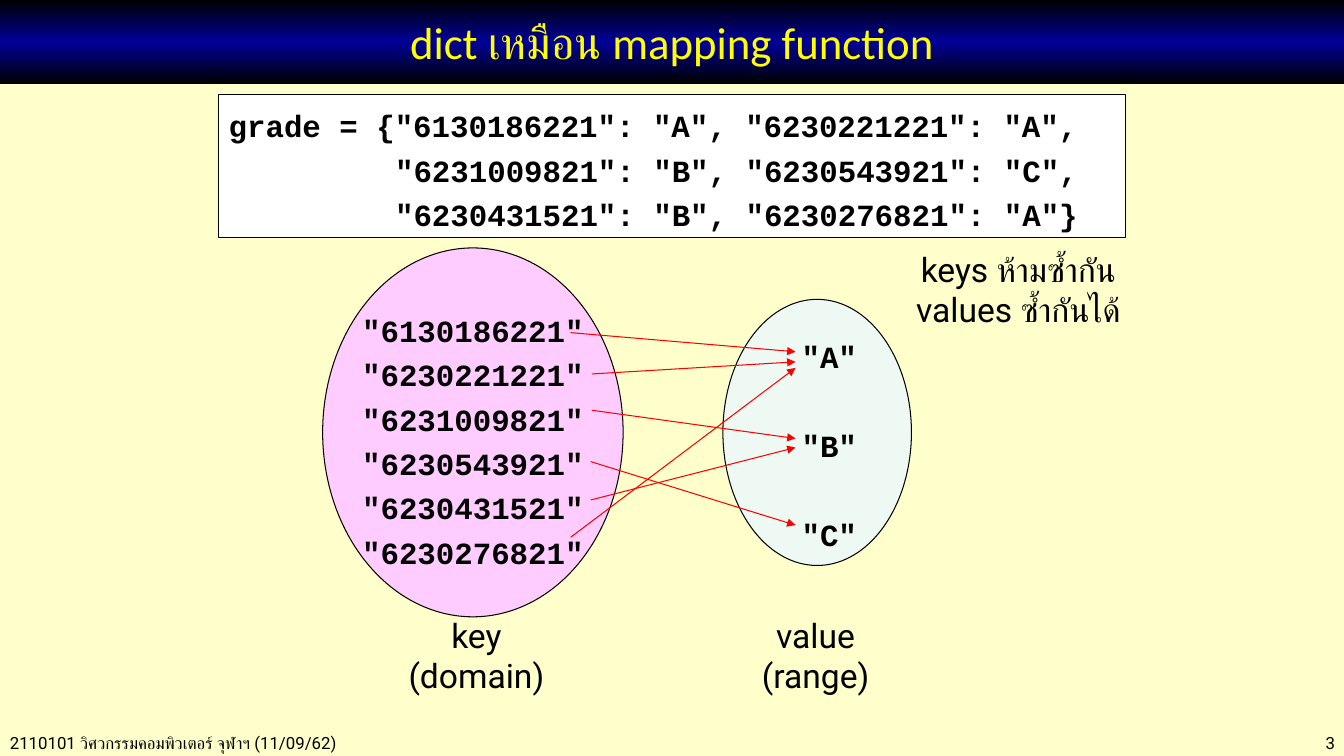
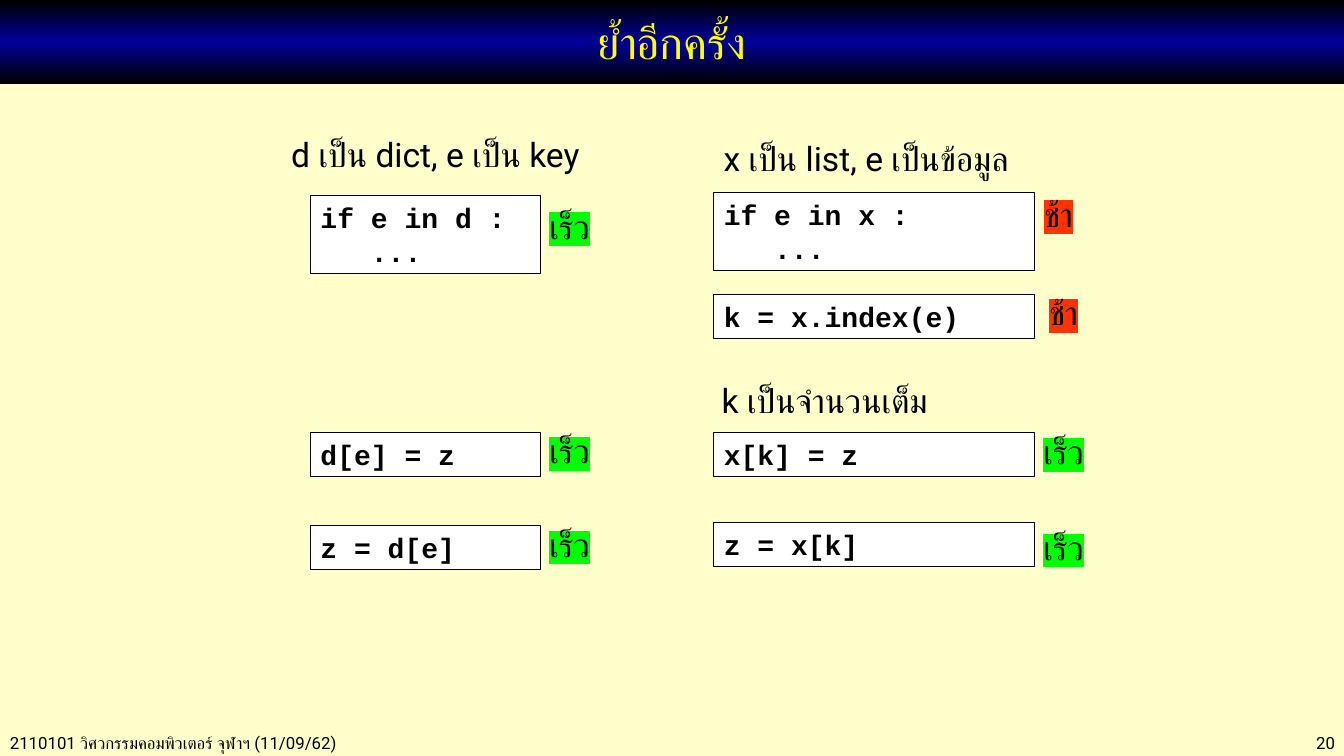
from copy import deepcopy
from dataclasses import dataclass

from lxml.etree import SubElement
from pptx import Presentation
from pptx.dml.color import RGBColor as RGB
from pptx.enum.shapes import MSO_CONNECTOR as CONN, MSO_SHAPE as SHAPE
from pptx.enum.text import MSO_ANCHOR as ANCHOR, MSO_AUTO_SIZE as FIT, PP_ALIGN as ALIGN
from pptx.oxml.ns import qn
from pptx.util import Pt

EMU_PER_PX = 9144
WIDTH, HEIGHT = 1333, 750
TITLE_ONLY = 5


def px(n):
    """Turn whole pixels into EMU."""
    return n * EMU_PER_PX


@dataclass(frozen=True)
class Theme:
    """Colours, fonts and type sizes of the deck."""
    paper: str = "FFFFCC"
    ink: str = "000000"
    white: str = "FFFFFF"
    title: str = "FFFF00"
    band: tuple = ("000000", "000099", "000000")
    keys: str = "FFCCFF"
    values: str = "EEF9F4"
    arrow: str = "FF0000"
    fast: str = "00FF00"
    slow: str = "FF3300"
    title_font: str = "Calibri"
    text_font: str = "Roboto"
    code_font: str = "Courier New"
    title_size: int = 32
    text_size: int = 24
    mapping_size: int = 22
    code_size: int = 20
    footer_size: int = 12
    line: float = 0.75
    mapping_leading: float = 1.2
    char_width: float = 0.6


class Deck:
    """Holds the style and the current slide."""

    def __init__(self, theme):
        """Start an empty deck on the shared background."""
        self.theme = theme
        self.prs = Presentation()
        self.prs.slide_width, self.prs.slide_height = px(WIDTH), px(HEIGHT)
        self.paint(self.prs.slide_master.background.fill, theme.paper)
        self.s = None

    def paint(self, fill, color):
        """Make a fill one solid colour."""
        fill.solid()
        fill.fore_color.rgb = RGB.from_string(color)

    def slide(self, title, number):
        """Add a slide with title band, footer and number."""
        t = self.theme
        self.s = self.prs.slides.add_slide(self.prs.slide_layouts[TITLE_ONLY])
        sp = self.s.shapes.title
        sp.left, sp.top, sp.width, sp.height = map(px, (0, 0, WIDTH, 83))
        sp.fill.gradient()
        sp.fill.gradient_angle = 90
        stops = sp.element.spPr.find(".//" + qn("a:gsLst"))
        middle = deepcopy(stops[0])
        middle.set("pos", "50000")
        stops.insert(1, middle)
        for stop, color in zip(sp.fill.gradient_stops, t.band):
            stop.color.rgb = RGB.from_string(color)
        sp.text_frame.vertical_anchor = ANCHOR.MIDDLE
        self.add_lines(sp.text_frame, [title], t.title_size, t.title_font, t.title,
                       ALIGN.CENTER)
        footer = "2110101 วิศวกรรมคอมพิวเตอร์ จุฬาฯ (11/09/62)"
        self.label((0, 722, 520, 30), [footer], size=t.footer_size, wrap=True)
        self.label((1150, 722, 184, 30), [str(number)], ALIGN.RIGHT, t.footer_size, wrap=True)

    def add_lines(self, tf, lines, size, font, color, align=ALIGN.LEFT, bold=False,
                  leading=None, gap=0, indent=0, highlight=None):
        """Fill a text frame, one paragraph a line."""
        for i, line in enumerate(lines):
            p = tf.add_paragraph() if i else tf.paragraphs[0]
            p.alignment = align
            if leading:
                p.line_spacing = leading
            if i and gap:
                p.space_before = Pt(gap)
            if i and indent:
                margin = Pt(indent * size * self.theme.char_width)
                p._p.get_or_add_pPr().set("marL", str(margin))
            r = p.add_run()
            r.text = line
            r.font.size, r.font.bold = Pt(size), bold
            r.font.color.rgb = RGB.from_string(color)
            if highlight:
                mark = SubElement(r._r.get_or_add_rPr(), qn("a:highlight"))
                SubElement(mark, qn("a:srgbClr")).set("val", highlight)
            r.font.name = font

    def label(self, box, lines, align=ALIGN.LEFT, size=None, wrap=False, highlight=None):
        """Add plain text."""
        t = self.theme
        tf = self.s.shapes.add_textbox(*map(px, box)).text_frame
        tf.word_wrap, tf.auto_size = wrap, FIT.SHAPE_TO_FIT_TEXT
        self.add_lines(tf, lines, size or t.text_size, t.text_font, t.ink, align,
                       highlight=highlight)

    def shape(self, kind, box, color):
        """Add an outlined preset shape."""
        sp = self.s.shapes.add_shape(kind, *map(px, box))
        sp.shadow.inherit = False
        self.paint(sp.fill, color)
        sp.line.color.rgb = RGB.from_string(self.theme.ink)
        sp.line.width = Pt(self.theme.line)
        return sp

    def code(self, box, lines, size=None, leading=None, indent=0):
        """Add a white box of code, later lines indented by columns."""
        t = self.theme
        tf = self.shape(SHAPE.RECTANGLE, box, t.white).text_frame
        tf.word_wrap, tf.auto_size = True, FIT.SHAPE_TO_FIT_TEXT
        tf.vertical_anchor = ANCHOR.TOP
        self.add_lines(tf, lines, size or t.code_size, t.code_font, t.ink, bold=True,
                       leading=leading, indent=indent)

    def members(self, box, lines, gap=0):
        """Add the centred members of a set."""
        t = self.theme
        tf = self.s.shapes.add_textbox(*map(px, box)).text_frame
        tf.word_wrap, tf.auto_size = True, FIT.SHAPE_TO_FIT_TEXT
        self.add_lines(tf, lines, t.mapping_size, t.code_font, t.ink, ALIGN.CENTER, True,
                       t.mapping_leading, gap)

    def arrow(self, x1, y1, x2, y2):
        """Add a thin arrow."""
        cx = self.s.shapes.add_connector(CONN.STRAIGHT, *map(px, (x1, y1, x2, y2)))
        cx.line.color.rgb = RGB.from_string(self.theme.arrow)
        cx.line.width = Pt(self.theme.line)
        sp_pr = cx.element.spPr
        SubElement(sp_pr.find(qn("a:ln")), qn("a:tailEnd")).set("type", "triangle")
        SubElement(sp_pr, qn("a:effectLst"))

    def speed(self, x, y, fast):
        """Add a highlighted speed verdict."""
        t = self.theme
        word, color = ("เร็ว", t.fast) if fast else ("ช้า", t.slow)
        self.label((x, y, 62 if fast else 86, 50), [word], wrap=not fast, highlight=color)


def mapping_slide(deck):
    """Show a dict as a mapping from keys to values."""
    t = deck.theme
    deck.slide("dict เหมือน mapping function", 3)
    deck.code((217, 94, 899, 142),
              ['grade = {"6130186221": "A", "6230221221": "A",',
               '"6231009821": "B", "6230543921": "C",',
               '"6230431521": "B", "6230276821": "A"}'],
              t.mapping_size, t.mapping_leading, indent=9)
    deck.shape(SHAPE.OVAL, (717, 297, 187, 264), t.values)
    deck.shape(SHAPE.OVAL, (320, 246, 298, 366), t.keys)
    deck.members((345, 297, 248, 275),
                 ['"6130186221"', '"6230221221"', '"6231009821"',
                  '"6230543921"', '"6230431521"', '"6230276821"'])
    deck.members((750, 323, 145, 231), ['"A"', '"B"', '"C"'], gap=32)
    deck.label((382, 605, 181, 91), ["key", "(domain)"], ALIGN.CENTER, wrap=True)
    deck.label((744, 605, 130, 91), ["value", "(range)"], ALIGN.CENTER)
    for x, y, end in ((566, 330, 349), (587, 371, 359), (587, 407, 435),
                      (586, 458, 521), (586, 496, 444), (566, 533, 365)):
        deck.arrow(x, y, 789, end)
    deck.label((889, 242, 242, 91), ["keys ห้ามซ้ำกัน", "values ซ้ำกันได้"], ALIGN.CENTER)


def speed_slide(deck):
    """Compare the speed of dict and list operations."""
    deck.slide("ย้ำอีกครั้ง", 20)
    for x, y, w, text in ((279, 128, 329, "d เป็น dict, e เป็น key"),
                          (708, 132, 336, "x เป็น list, e เป็นข้อมูล"),
                          (706, 372, 245, "k เป็นจำนวนเต็ม")):
        deck.label((x, y, w, 50), [text])
    columns = (
        (308, 228, ((194, ["if e in d :", "..."], 535, 199, True),
                    (429, ["d[e] = z"], 535, 422, True),
                    (521, ["z = d[e]"], 535, 515, True))),
        (708, 318, ((191, ["if e in x :", "..."], 1026, 187, False),
                    (292, ["k = x.index(e)"], 1031, 285, False),
                    (429, ["x[k] = z"], 1025, 423, True),
                    (518, ["z = x[k]"], 1025, 518, True))),
    )
    for left, width, rows in columns:
        for top, lines, speed_x, speed_y, fast in rows:
            deck.code((left, top, width, 11 + 33 * len(lines)), lines, indent=3)
            deck.speed(speed_x, speed_y, fast)


def main():
    """Build and save the deck."""
    deck = Deck(Theme())
    mapping_slide(deck)
    speed_slide(deck)
    deck.prs.save("out.pptx")


if __name__ == "__main__":
    main()
